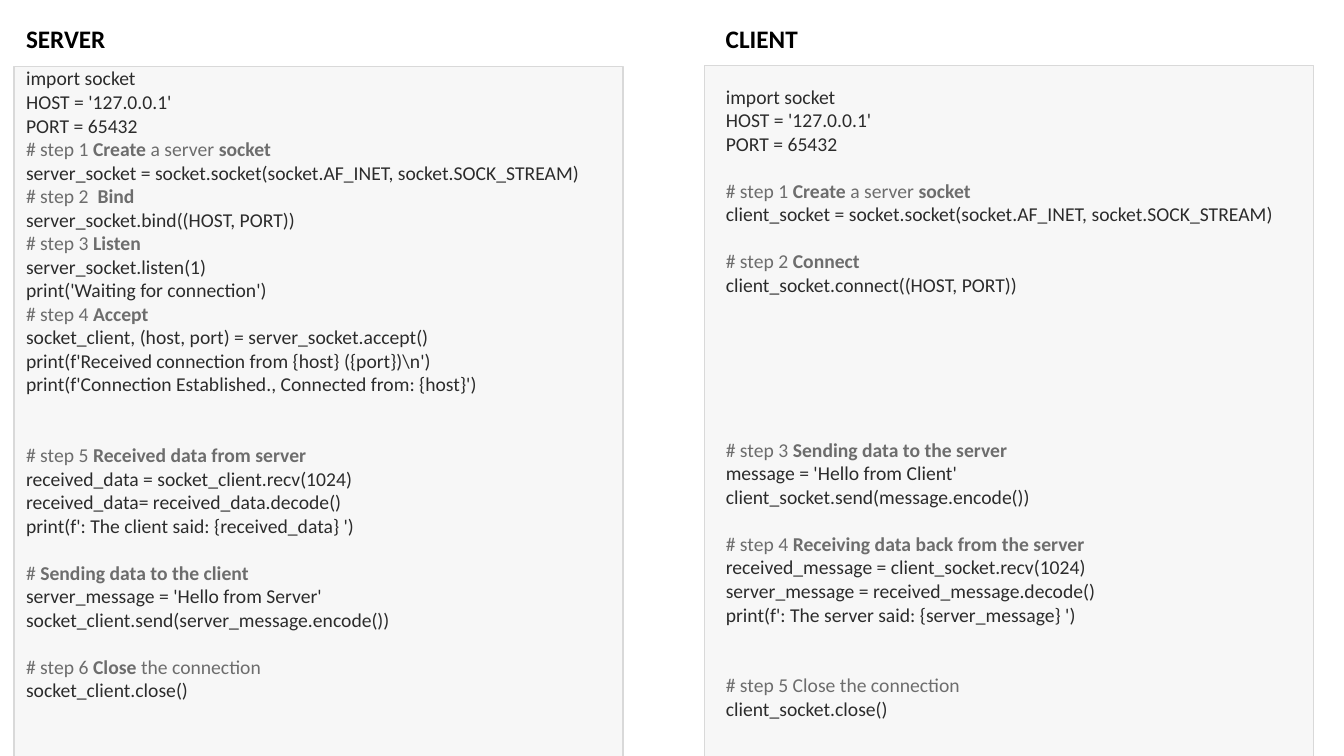
from dataclasses import dataclass

from lxml import etree
from pptx import Presentation
from pptx.dml.color import RGBColor
from pptx.enum.shapes import MSO_SHAPE
from pptx.oxml.ns import qn
from pptx.util import Inches, Pt

RECTANGLE = MSO_SHAPE.RECTANGLE


@dataclass(frozen=True)
class Theme:
    """Colours and type of the slide."""
    font: str = "Calibri"
    heading_size: float = 18
    code_size: float = 14
    line_pitch: float = 16.83
    ink: RGBColor = RGBColor(0x00, 0x00, 0x00)
    comment: RGBColor = RGBColor(0x52, 0x52, 0x52)
    panel: RGBColor = RGBColor(0xD9, 0xD9, 0xD9)
    panel_opacity: int = 20


THEME = Theme()

# Each section is (blank lines above, code); ** switches bold on and off.
SERVER = [
    (0, r"""import socket
HOST = '127.0.0.1'
PORT = 65432
# step 1 **Create** a server **socket**
server_socket = socket.socket(socket.AF_INET, socket.SOCK_STREAM)
# step 2  **Bind**
server_socket.bind((HOST, PORT))
# step 3 **Listen**
server_socket.listen(1)
print('Waiting for connection')
# step 4 **Accept**
socket_client, (host, port) = server_socket.accept()
print(f'Received connection from {host} ({port})\n')
print(f'Connection Established., Connected from: {host}')"""),
    (2, """# step 5 **Received data from server**
received_data = socket_client.recv(1024)
received_data= received_data.decode()
print(f': The client said: {received_data} ')"""),
    (1, """#** Sending data to the client**
server_message = 'Hello from Server'
socket_client.send(server_message.encode())"""),
    (1, """# step 6 **Close** the connection
socket_client.close()"""),
]
CLIENT = [
    (0, """import socket
HOST = '127.0.0.1'
PORT = 65432"""),
    (1, """# step 1 **Create** a server **socket**
client_socket = socket.socket(socket.AF_INET, socket.SOCK_STREAM)"""),
    (1, """# step 2 **Connect**
client_socket.connect((HOST, PORT))"""),
    (6, """# step 3 **Sending data to the server**
message = 'Hello from Client'
client_socket.send(message.encode())"""),
    (1, """# step 4 **Receiving data back from the server**
received_message = client_socket.recv(1024)
server_message = received_message.decode()
print(f': The server said: {server_message} ')"""),
    (2, """# step 5 Close the connection
client_socket.close()"""),
]

# heading, sections, code box, panel left and top
COLUMNS = [
    ("SERVER", SERVER, (0.16, 0.61, 7.25, 6.46), (0.14, 0.66)),
    ("CLIENT", CLIENT, (7.1, 0.79, 5.92, 6.7), (6.99, 0.65)),
]
HEADING_TOP, HEADING_SIZE = 0.18, (1.04, 0.4)
PANEL_SIZE = (6.04, 6.92)


def add_run(paragraph, text, size, colour, bold):
    """Append one formatted run."""
    run = paragraph.add_run()
    run.text = text
    font = run.font
    font.name, font.size, font.bold = THEME.font, Pt(size), bold
    font.color.rgb = colour


def add_heading(slide, heading, left):
    """Place the bold name above a column."""
    box = slide.shapes.add_textbox(
        *map(Inches, (left, HEADING_TOP, *HEADING_SIZE)))
    add_run(box.text_frame.paragraphs[0], heading,
            THEME.heading_size, THEME.ink, True)


def add_code(slide, sections, place):
    """Write one paragraph a line, with space above each section."""
    frame = slide.shapes.add_textbox(*map(Inches, place)).text_frame
    frame.word_wrap = True
    lines = [(blanks if row == 0 else 0, line)
             for blanks, code in sections
             for row, line in enumerate(code.split("\n"))]
    for number, (blanks, line) in enumerate(lines):
        paragraph = frame.add_paragraph() if number else frame.paragraphs[0]
        paragraph.space_before = Pt(blanks * THEME.line_pitch)
        colour = THEME.comment if line.startswith("#") else THEME.ink
        for part, text in enumerate(line.split("**")):
            if text:
                add_run(paragraph, text, THEME.code_size, colour, part % 2 == 1)


def add_panel(slide, corner):
    """Lay a translucent panel over the code."""
    panel = slide.shapes.add_shape(RECTANGLE, *map(Inches, corner + PANEL_SIZE))
    panel.shadow.inherit = False
    panel.fill.solid()
    panel.fill.fore_color.rgb = THEME.panel
    panel.line.color.rgb = THEME.panel
    panel.line.width = Pt(1)
    colour = panel.fill._xPr.find(qn("a:solidFill"))[0]
    etree.SubElement(colour, qn("a:alpha"), val=str(THEME.panel_opacity * 1000))


def main():
    """Build the slide and save it."""
    deck = Presentation()
    deck.slide_width, deck.slide_height = Inches(13.33), Inches(7.5)
    slide = deck.slides.add_slide(deck.slide_layouts[6])
    for heading, sections, code_place, panel_corner in COLUMNS:
        add_code(slide, sections, code_place)
        add_heading(slide, heading, code_place[0])
        add_panel(slide, panel_corner)
    deck.save("out.pptx")


main()
